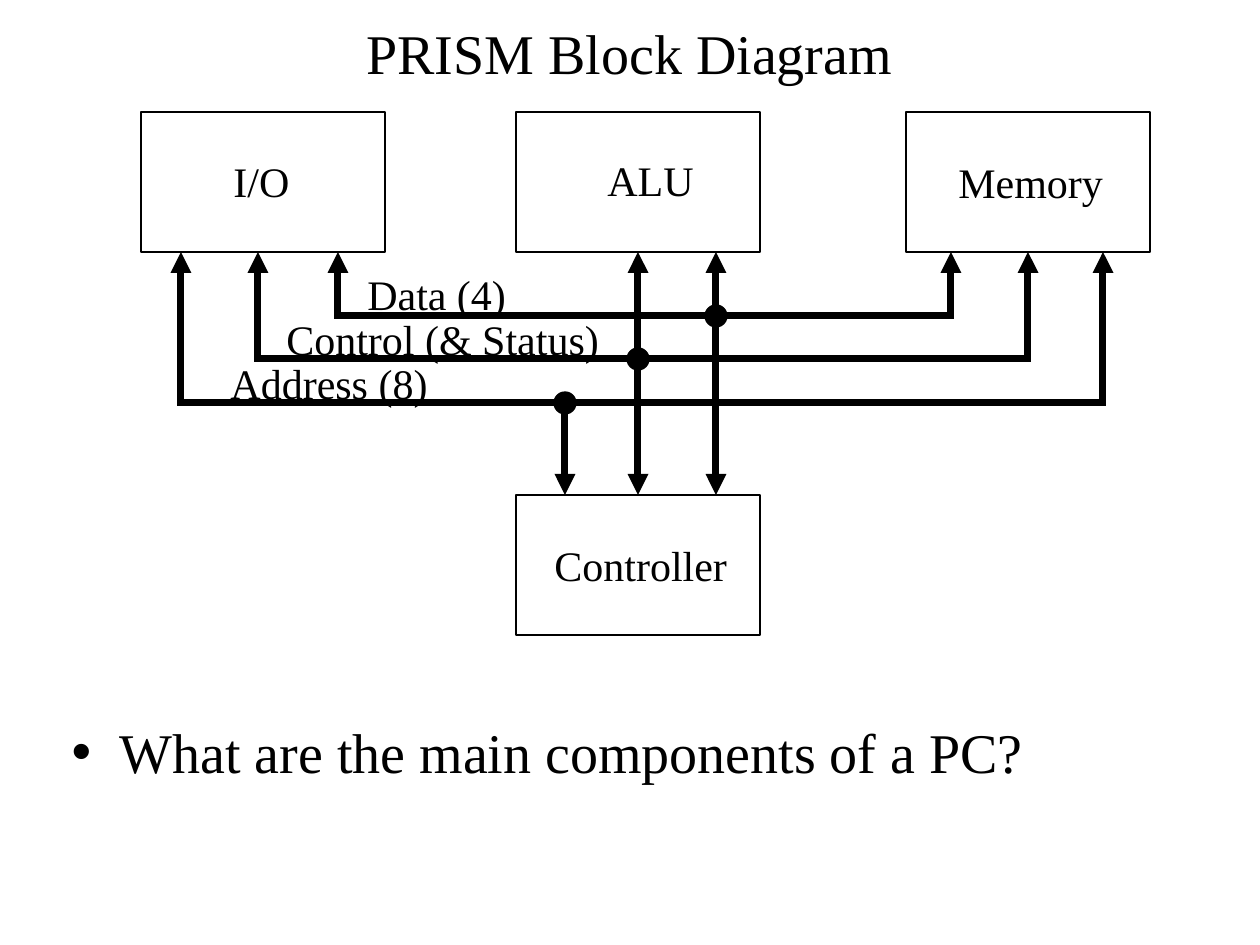
from pptx import Presentation, util as u
from pptx.dml.color import RGBColor
from pptx.enum import shapes, text
from pptx.oxml import parse_xml
from pptx.oxml.ns import nsdecls, qn

BLACK = RGBColor(0x00, 0x00, 0x00)
PX_PER_INCH = 126


def px(n):
    return u.Emu(round(n * 914400 / PX_PER_INCH))


class Diagram:
    """Style and current slide, with one method per kind of element."""
    font = "Times New Roman"
    box_w, box_h = 244, 140
    dot_d = 22
    thin, thick = u.Pt(0.75), u.Pt(4)

    def __init__(self, slide):
        self.s = slide

    def fill_text(self, sp, words, size, wrap=True, **paragraph):
        tf = sp.text_frame
        tf.word_wrap = wrap
        tf.auto_size = text.MSO_AUTO_SIZE.NONE if wrap else text.MSO_AUTO_SIZE.SHAPE_TO_FIT_TEXT
        p = tf.paragraphs[0]
        for name, value in paragraph.items():
            setattr(p, name, value)
        r = p.add_run()
        r.text = words
        r.font.color.rgb = BLACK
        for name, value in {"name": self.font, "size": u.Pt(size)}.items():
            setattr(r.font, name, value)
        return p

    def place(self, sp, x, y, w, h):
        for name, value in {"left": x, "top": y, "width": w, "height": h}.items():
            setattr(sp, name, px(value))

    def title(self, words, *at):
        sp = self.s.shapes.title
        self.place(sp, *at)
        sp.text_frame.vertical_anchor = text.MSO_ANCHOR.MIDDLE
        self.fill_text(sp, words, 32, alignment=text.PP_ALIGN.CENTER)

    def bullet(self, words, *at):
        sp = self.s.placeholders[1]
        self.place(sp, *at)
        p = self.fill_text(sp, words, 32, space_before=u.Pt(6.4))
        pPr = p._p.get_or_add_pPr()
        pPr.set("marL", str(px(48)))
        pPr.set("indent", str(-px(48)))
        pPr.append(parse_xml(f'<a:buChar {nsdecls("a")} char="•"/>'))

    def label(self, words, *at):
        sp = self.s.shapes.add_textbox(*map(px, at))
        self.fill_text(sp, words, 24, wrap=False, space_before=u.Pt(12))

    def shape(self, kind, x, y, w, h, filled=False):
        sp = self.s.shapes.add_shape(kind, *map(px, (x, y, w, h)))
        sp.shadow.inherit = False
        if filled:
            sp.fill.solid()
            sp.fill.fore_color.rgb = BLACK
        else:
            sp.fill.background()
        sp.line.color.rgb = BLACK
        sp.line.width = self.thin
        return sp

    def box(self, x, y):
        return self.shape(shapes.MSO_SHAPE.RECTANGLE, x, y, self.box_w, self.box_h)

    def dot(self, cx, cy):
        d = self.dot_d
        self.shape(shapes.MSO_SHAPE.OVAL, cx - d // 2, cy - d // 2, d, d, filled=True)

    def line(self, x1, y1, x2, y2, ends=(), start=None, stop=None):
        c = self.s.shapes.add_connector(shapes.MSO_CONNECTOR.STRAIGHT, *map(px, (x1, y1, x2, y2)))
        c.line.color.rgb = BLACK
        c.line.width = self.thick
        spPr = c._element.spPr
        ln = spPr.find(qn("a:ln"))
        for end in ends:
            ln.append(ln.makeelement(qn(f"a:{end}"), {"type": "triangle"}))
        spPr.append(parse_xml(f'<a:effectLst {nsdecls("a")}/>'))
        if start:
            c.begin_connect(start, 2)
        if stop:
            c.end_connect(stop, 0)


def main():
    prs = Presentation()
    prs.slide_width, prs.slide_height = px(1260), px(945)
    d = Diagram(prs.slides.add_slide(prs.slide_layouts[1]))
    d.title("PRISM Block Diagram", 94, 21, 1071, 63)

    # Blocks
    top, ctrl_top = 112, 495
    bottom = top + d.box_h
    d.box(141, top)
    alu, memory = d.box(516, top), d.box(906, top)
    controller = d.box(516, ctrl_top)

    # Controller to ALU
    both = ("headEnd", "tailEnd")
    d.line(638, bottom, 638, ctrl_top, both, alu, controller)
    d.line(716, bottom, 716, ctrl_top, both)

    # Buses: left x, right x, y, junction x, block joined on the right
    buses = [(338, 951, 316, 716, None),
             (258, 1028, 359, 638, memory),
             (181, 1103, 403, 565, None)]
    for left, right, y, _, block in buses:
        d.line(left, bottom, left, y + 3, ["headEnd"])
        d.line(right, bottom, right, y + 3, ["headEnd"], block)
        d.line(left - 3, y, right + 3, y)

    # Address bus to controller
    d.line(565, 403, 565, ctrl_top, ["tailEnd"])

    # Junctions
    for _, _, y, x, _ in buses:
        d.dot(x, y)

    # Labels
    for words, x, y, w in [("I/O", 221, 149, 82),
                           ("ALU", 595, 148, 112),
                           ("Memory", 946, 150, 170),
                           ("Controller", 542, 533, 198),
                           ("Data (4)", 355, 262, 164),
                           ("Control (& Status)", 274, 307, 338),
                           ("Address (8)", 218, 351, 223)]:
        d.label(words, x, y, w, 63)

    d.bullet("What are the main components of a PC?", 59, 711, 1071, 393)
    prs.save("out.pptx")


if __name__ == "__main__":
    main()
